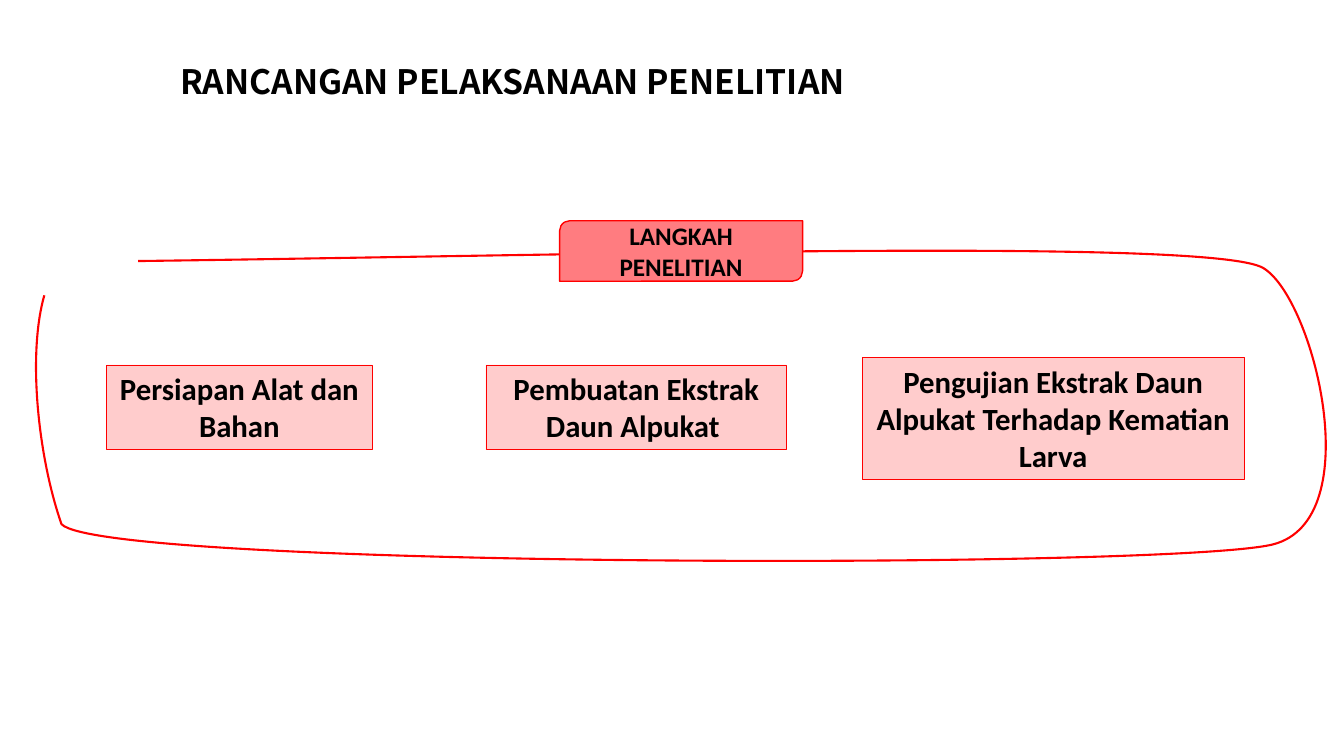
from lxml import etree
from pptx import Presentation
from pptx import util as u
from pptx.dml.color import RGBColor
from pptx.enum import shapes, text
from pptx.oxml import ns

PX = 9144
RED = "FF0000"


def color(value):
    return RGBColor.from_string(value)


def write(s, content, size, font="Calibri", align=text.PP_ALIGN.CENTER,
          anchor=text.MSO_ANCHOR.TOP, fit=text.MSO_AUTO_SIZE.SHAPE_TO_FIT_TEXT):
    tf = s.text_frame
    for name, value in {"word_wrap": True, "vertical_anchor": anchor, "auto_size": fit}.items():
        setattr(tf, name, value)
    p = tf.paragraphs[0]
    p.alignment = align
    r = p.add_run()
    r.text = content
    for name, value in {"name": font, "size": u.Pt(size), "bold": True}.items():
        setattr(r.font, name, value)
    r.font.color.rgb = color("000000")


prs = Presentation()
prs.slide_width, prs.slide_height = 1333 * PX, 750 * PX
slide = prs.slides.add_slide(prs.slide_layouts[6])

left, top, right, bottom = 36, 249, 1315, 556
builder = slide.shapes.build_freeform(left, top, scale=PX)
builder.add_line_segments([(right, bottom)], close=False)
loop = builder.convert_to_shape()
outline = loop._element.find(".//" + ns.qn("a:path"))
for child in list(outline):
    outline.remove(child)
curves = [
    ("a:moveTo", [(137, 259)]),
    ("a:cubicBezTo", [(590, 253), (1204, 236), (1253, 266)]),
    ("a:cubicBezTo", [(1303, 296), (1358, 515), (1263, 540)]),
    ("a:cubicBezTo", [(1167, 565), (101, 564), (61, 520)]),
    ("a:cubicBezTo", [(38, 454), (27, 352), (44, 293)]),
]
for tag, points in curves:
    segment = etree.SubElement(outline, ns.qn(tag))
    for x, y in points:
        etree.SubElement(segment, ns.qn("a:pt"), x=str(x - left), y=str(y - top))
loop.shadow.inherit = False
loop.fill.background()
loop.line.color.rgb = color(RED)
loop.line.width = u.Pt(1.5)

header = slide.shapes.add_shape(shapes.MSO_SHAPE.ROUND_2_DIAG_RECTANGLE,
                                *(v * PX for v in (555, 219, 241, 60)))
write(header, "LANGKAH PENELITIAN", 18, anchor=text.MSO_ANCHOR.MIDDLE,
      fit=text.MSO_AUTO_SIZE.NONE)
styled = [(header, "FF7C80", 1)]

steps = [
    ((482, 362, 298, 84), "Pembuatan Ekstrak Daun Alpukat "),
    ((855, 355, 379, 121), "Pengujian Ekstrak Daun Alpukat Terhadap Kematian Larva"),
    ((106, 362, 263, 84), "Persiapan Alat dan Bahan"),
]
for place, content in steps:
    s = slide.shapes.add_shape(shapes.MSO_SHAPE.RECTANGLE, *(v * PX for v in place))
    write(s, content, 22)
    styled.append((s, "FFCCCC", 0.5))

for s, fill, width in styled:
    s.shadow.inherit = False
    s.fill.solid()
    s.fill.fore_color.rgb = color(fill)
    s.line.color.rgb = color(RED)
    s.line.width = u.Pt(width)

title = slide.shapes.add_textbox(*(v * PX for v in (169, 56, 831, 50)))
write(title, "RANCANGAN PELAKSANAAN PENELITIAN", 24, "Noto Sans CJK SC",
      text.PP_ALIGN.LEFT)

prs.save("out.pptx")
